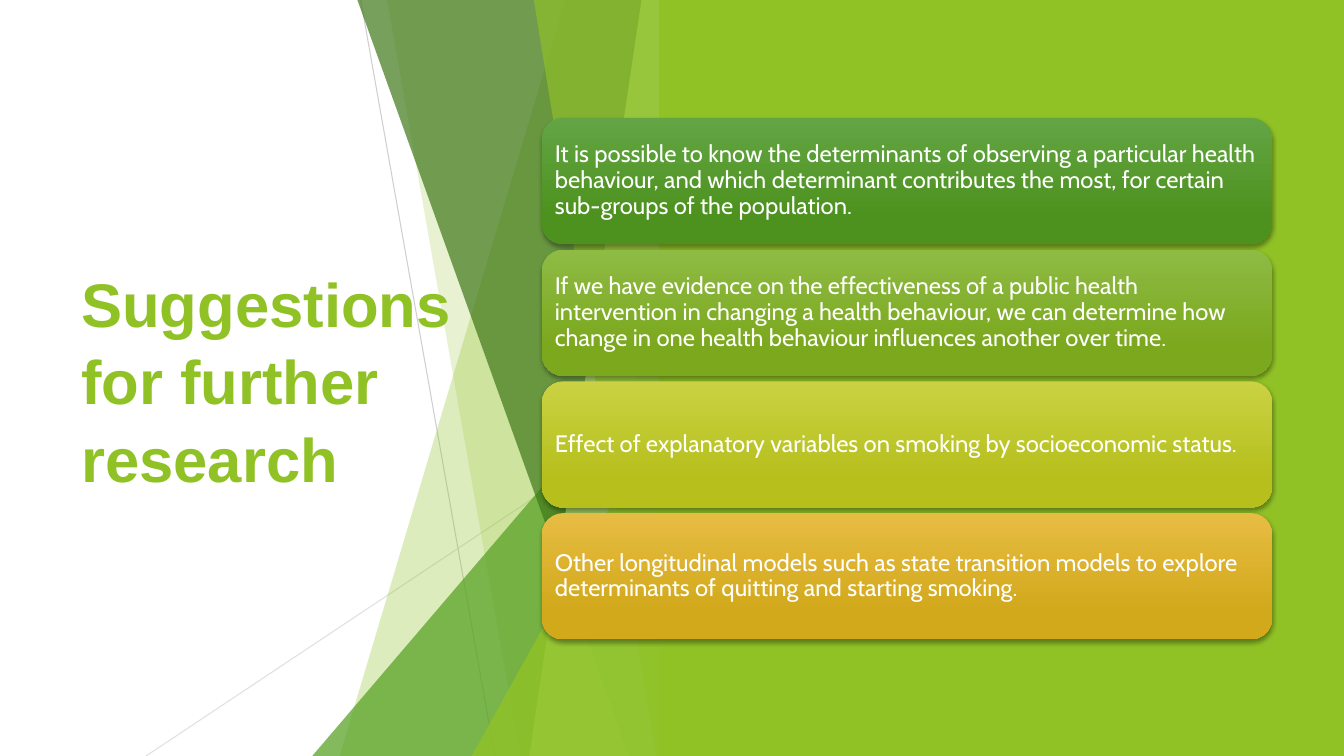
from lxml import etree
from pptx import Presentation
from pptx.dml.color import RGBColor
from pptx.enum.shapes import MSO_CONNECTOR, MSO_SHAPE
from pptx.enum.text import MSO_ANCHOR, PP_ALIGN
from pptx.oxml.ns import qn
from pptx.util import Cm, Pt

LINE = MSO_CONNECTOR.STRAIGHT
RECT = MSO_SHAPE.RECTANGLE
ROUND = MSO_SHAPE.ROUNDED_RECTANGLE
TRIANGLE = MSO_SHAPE.ISOSCELES_TRIANGLE
MIDDLE = MSO_ANCHOR.MIDDLE
LEFT = PP_ALIGN.LEFT

WIDTH, HEIGHT = 33.87, 19.05
EDGE = 16.92  # right side of all the facets

COLORS = {
    "white": "FFFFFF", "lime": "90C226", "leaf": "54A021",
    "forest": "3F7819", "pale": "C0E474", "gray": "BFBFBF", "light": "D9D9D9",
}
# top left, bottom left, colour, opacity
BACK = [(14.25, 8.56, "lime", 30), (9.75, 13.11, "lime", 20)]
FRONT = [(9, 15.85, "forest", 70), (16.17, 13.34, "pale", 70),
         (13.45, 16.54, "lime", 65)]
# top and bottom of the gradient, text
CARDS = [
    ("63A545", "4D921E", "It is possible to know the determinants of observing "
     "a particular health behaviour, and which determinant contributes the "
     "most, for certain sub-groups of the population."),
    ("8EBB44", "7BA81D", "If we have evidence on the effectiveness of a public "
     "health intervention in changing a health behaviour, we can determine how "
     "change in one health behaviour influences another over time."),
    ("CAD243", "B6BF1B", "Effect of explanatory variables on smoking by "
     "socioeconomic status."),
    ("E7BC43", "D2A91B", "Other longitudinal models such as state transition "
     "models to explore determinants of quitting and starting smoking."),
]


def fade(fill, alpha):
    """Set the opacity, in percent, of a solid fill element."""
    etree.SubElement(fill[0], qn("a:alpha"), val=str(alpha * 1000))


class Deck:
    def __init__(self, slide):
        self.shapes = slide.shapes

    def paint(self, shape, color, alpha=100):
        shape.shadow.inherit = False
        shape.line.fill.background()
        shape.fill.solid()
        shape.fill.fore_color.rgb = RGBColor.from_string(COLORS[color])
        if alpha < 100:
            fade(shape._element.spPr.find(qn("a:solidFill")), alpha)

    def line(self, x1, y1, x2, y2, color, alpha):
        line = self.shapes.add_connector(LINE, Cm(x1), Cm(y1), Cm(x2), Cm(y2))
        line.line.width = Pt(0.75)
        line.line.color.rgb = RGBColor.from_string(COLORS[color])
        props = line._element.spPr
        fade(props.find(qn("a:ln")).find(qn("a:solidFill")), alpha)
        etree.SubElement(props, qn("a:effectLst"))

    def facet(self, top, bottom, color, alpha):
        """Draw a full-height panel with a slanted left side."""
        pen = self.shapes.build_freeform(Cm(top), Cm(-0.02))
        pen.add_line_segments([(Cm(EDGE), Cm(-0.02)), (Cm(EDGE), Cm(HEIGHT)),
                               (Cm(bottom), Cm(HEIGHT))])
        self.paint(pen.convert_to_shape(), color, alpha)

    def corner(self, left, top, color, alpha):
        """Draw a right triangle that stands on the bottom edge."""
        shape = self.shapes.add_shape(TRIANGLE, Cm(left), Cm(top),
                                      Cm(EDGE - left), Cm(HEIGHT - top))
        shape.adjustments[0] = 1
        self.paint(shape, color, alpha)

    def panel(self, left, width, color):
        shape = self.shapes.add_shape(RECT, Cm(left), 0, Cm(width), Cm(HEIGHT))
        self.paint(shape, color)

    def label(self, shape, text, size, font, color, space, bold=False):
        frame = shape.text_frame
        frame.word_wrap = True
        frame.vertical_anchor = MIDDLE
        para = frame.paragraphs[0]
        para.alignment = LEFT
        para.line_spacing = space
        run = para.add_run()
        run.text = text
        run.font.size = Pt(size)
        run.font.name = font
        run.font.bold = bold
        run.font.color.rgb = RGBColor.from_string(COLORS[color])

    def title(self, text):
        box = self.shapes.add_textbox(Cm(1.8), Cm(3.84), Cm(9.86), Cm(11.38))
        self.label(box, text, 44, "Arial", "lime", 1.05, True)

    def shade(self, shape):
        """Give the shape a soft shadow below it."""
        shape.shadow.inherit = False
        effects = shape._element.spPr.find(qn("a:effectLst"))
        outer = etree.SubElement(
            effects, qn("a:outerShdw"), blurRad=str(Pt(3)), dist=str(Pt(2)),
            dir="5400000", algn="ctr", rotWithShape="0")
        etree.SubElement(outer, qn("a:srgbClr"), val="000000")
        fade(outer, 35)

    def card(self, top, start, end, text):
        shape = self.shapes.add_shape(ROUND, Cm(13.66), Cm(top),
                                      Cm(18.4), Cm(3.18))
        shape.line.fill.background()
        shape.fill.gradient()
        shape.fill.gradient_angle = 270
        stops = zip(shape.fill.gradient_stops, (0, 0.78), (start, end))
        for stop, place, color in stops:
            stop.position = place
            stop.color.rgb = RGBColor.from_string(color)
        self.shade(shape)
        frame = shape.text_frame
        frame.margin_left = frame.margin_right = Cm(0.17)
        frame.margin_top = frame.margin_bottom = Cm(0.17)
        self.label(shape, text, 17, "Cabin", "white", 0.9)


def main():
    show = Presentation()
    show.slide_width, show.slide_height = Cm(WIDTH), Cm(HEIGHT)
    deck = Deck(show.slides.add_slide(show.slide_layouts[6]))

    deck.panel(0, WIDTH, "white")
    deck.title("Suggestions for further research")
    deck.line(9.09, 0, 12.47, HEIGHT, "gray", 75)
    deck.line(EDGE, 10.24, 3.68, HEIGHT, "light", 80)
    for facet in BACK:
        deck.facet(*facet)
    deck.corner(7.87, 8.46, "leaf", 72)
    for facet in FRONT:
        deck.facet(*facet)
    deck.corner(11.89, 9.98, "lime", 80)
    deck.panel(16.61, WIDTH - 16.61, "lime")
    for i, card in enumerate(CARDS):
        deck.card(2.97 + i * 3.32, *card)

    show.save("out.pptx")


if __name__ == "__main__":
    main()
